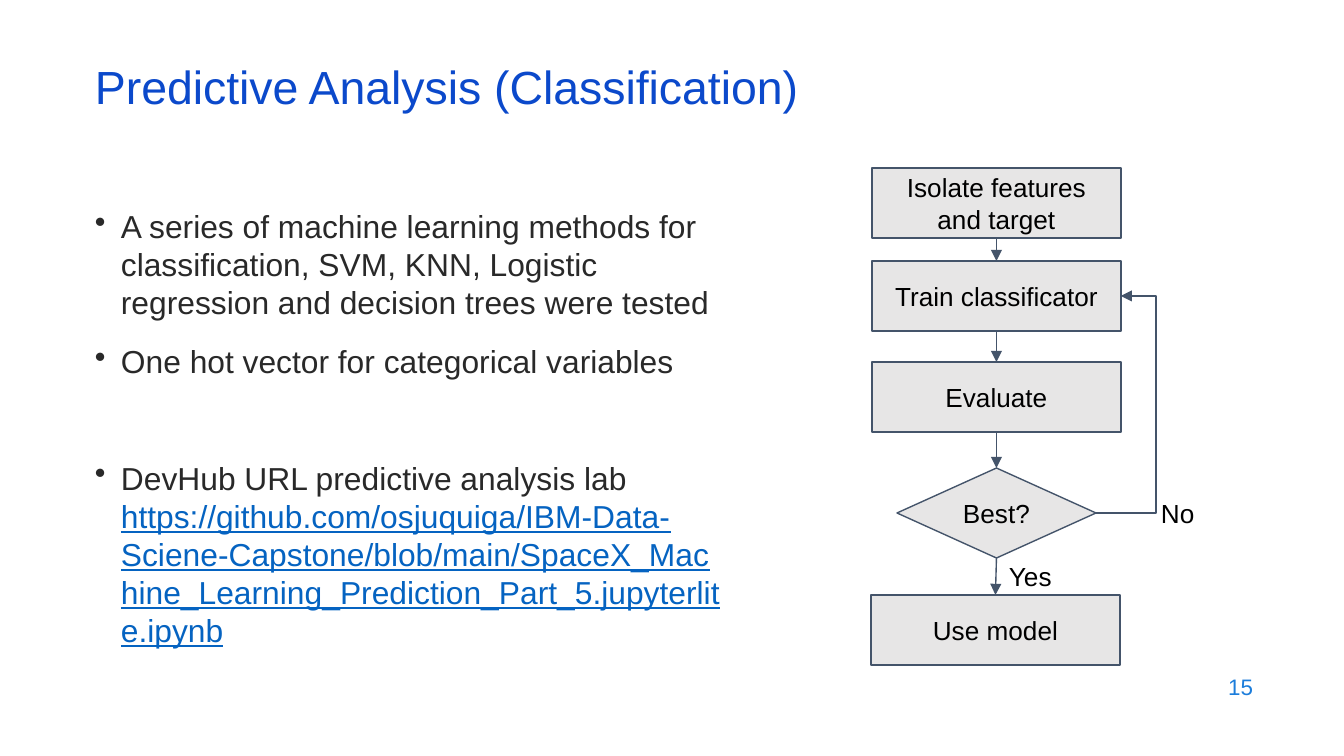
import pptx
import pptx.util
import pptx.dml.color
import pptx.enum.shapes
import pptx.enum.text
import pptx.oxml.ns
from lxml import etree

RGB = pptx.dml.color.RGBColor
BLUE = RGB(0x0B, 0x49, 0xCB)
SKY = RGB(0x1C, 0x7D, 0xDB)
LINK = RGB(0x05, 0x63, 0xC1)
INK = RGB(0x29, 0x29, 0x29)
BLACK = RGB(0, 0, 0)
GREY = RGB(0xE7, 0xE6, 0xE6)
SLATE = RGB(0x44, 0x54, 0x6A)

KIND = pptx.enum.shapes.MSO_SHAPE
WIRE = pptx.enum.shapes.MSO_CONNECTOR
ALIGN = pptx.enum.text.PP_ALIGN
ANCHOR = pptx.enum.text.MSO_ANCHOR

TITLE = "Predictive Analysis (Classification)"
URL = ("https://github.com/osjuquiga/IBM-Data-Sciene-Capstone/blob/main/"
       "SpaceX_Machine_Learning_Prediction_Part_5.jupyterlite.ipynb")
# space before in points, then runs of (text, is link)
POINTS = [
    (0, [("A series of machine learning methods for classification, SVM, KNN, "
          "Logistic regression and decision trees were tested", False)]),
    (11, [("One hot vector for categorical variables", False)]),
    (42, [("DevHub URL predictive analysis lab ", False), (URL, True)]),
]
# text, shape, left, top, width, height
STEPS = [
    ("Isolate features and target", KIND.RECTANGLE, 872, 168, 249, 70),
    ("Train classificator", KIND.RECTANGLE, 872, 261, 249, 70),
    ("Evaluate", KIND.RECTANGLE, 872, 362, 249, 70),
    ("Best?", KIND.DIAMOND, 897, 468, 199, 90),
    ("Use model", KIND.RECTANGLE, 871, 595, 249, 70),
]
LABELS = [("Yes", 996, 547), ("No", 1148, 484)]
TOP, BOTTOM, RIGHT = 0, 2, 3
BEND = 1156


def px(n):
    return pptx.util.Emu(round(n * 914400 / 134.4))


def write(para, text, size, color):
    run = para.add_run()
    run.text = text
    run.font.name = "Arial"
    run.font.size = pptx.util.Pt(size)
    run.font.color.rgb = color
    return run


def frame(shape, across, down, anchor=ANCHOR.MIDDLE):
    """Set wrapping, insets and anchor; return the text frame."""
    text = shape.text_frame
    text.word_wrap = True
    text.margin_left = text.margin_right = px(across)
    text.margin_top = text.margin_bottom = px(down)
    text.vertical_anchor = anchor
    return text


def box(left, top, width, height, *inset):
    shape = slide.shapes.add_textbox(px(left), px(top), px(width), px(height))
    return frame(shape, *inset)


def bullet(para):
    props = para._p.get_or_add_pPr()
    props.set("marL", str(px(26)))
    props.set("indent", str(-px(26)))
    color = pptx.oxml.ns.qn("a:buClr")
    rgb = etree.SubElement(etree.SubElement(props, color),
                           pptx.oxml.ns.qn("a:srgbClr"))
    rgb.set("val", str(INK))
    etree.SubElement(props, pptx.oxml.ns.qn("a:buChar")).set("char", "•")


def arrow(kind, start, out, end, into):
    """Glue an arrow from one side of a step to a side of another."""
    wire = slide.shapes.add_connector(kind, 0, 0, 0, 0)
    wire.begin_connect(start, out)
    wire.end_connect(end, into)
    wire.line.color.rgb = SLATE
    wire.line.width = pptx.util.Pt(0.75)
    tip = etree.SubElement(wire.line._get_or_add_ln(),
                           pptx.oxml.ns.qn("a:tailEnd"))
    tip.set("type", "triangle")
    etree.SubElement(wire._element.spPr, pptx.oxml.ns.qn("a:effectLst"))
    return wire


deck = pptx.Presentation()
deck.slide_width, deck.slide_height = px(1344), px(756)
slide = deck.slides.add_slide(deck.slide_layouts[6])

para = box(86, 59, 1158, 60, 9, 5).paragraphs[0]
para.line_spacing = 0.9
write(para, TITLE, 24.9, BLUE)

para = box(960, 665, 302, 44, 9, 5).paragraphs[0]
para.alignment = ALIGN.RIGHT
write(para, "15", 12, SKY)

body = box(86, 202, 650, 480, 9, 5, ANCHOR.TOP)
for i, (gap, runs) in enumerate(POINTS):
    para = body.add_paragraph() if i else body.paragraphs[0]
    bullet(para)
    if gap:
        para.space_before = pptx.util.Pt(gap)
    for text, link in runs:
        run = write(para, text, 17, LINK if link else INK)
        if link:
            run.font.underline = True

steps = []
for text, kind, *place in STEPS:
    step = slide.shapes.add_shape(kind, *map(px, place))
    step.shadow.inherit = False
    step.fill.solid()
    step.fill.fore_color.rgb = GREY
    step.line.color.rgb = SLATE
    step.line.width = pptx.util.Pt(0.75)
    para = frame(step, 13, 13).paragraphs[0]
    para.alignment = ALIGN.CENTER
    write(para, text, 14, BLACK)
    steps.append(step)

for start, end in zip(steps, steps[1:]):
    arrow(WIRE.STRAIGHT, start, BOTTOM, end, TOP)

train, best = steps[1], steps[3]
loop = arrow(WIRE.ELBOW, best, RIGHT, train, RIGHT)
ratio = (px(BEND) - loop.begin_x) / (loop.end_x - loop.begin_x)
shape = loop._element.spPr.find(pptx.oxml.ns.qn("a:prstGeom"))
guide = etree.SubElement(shape.find(pptx.oxml.ns.qn("a:avLst")),
                         pptx.oxml.ns.qn("a:gd"))
guide.set("name", "adj1")
guide.set("fmla", f"val {round(ratio * 100000)}")

for text, left, top in LABELS:
    para = box(left, top, 160, 58, 13, 13, ANCHOR.TOP).paragraphs[0]
    write(para, text, 14, BLACK)

deck.save("out.pptx")
